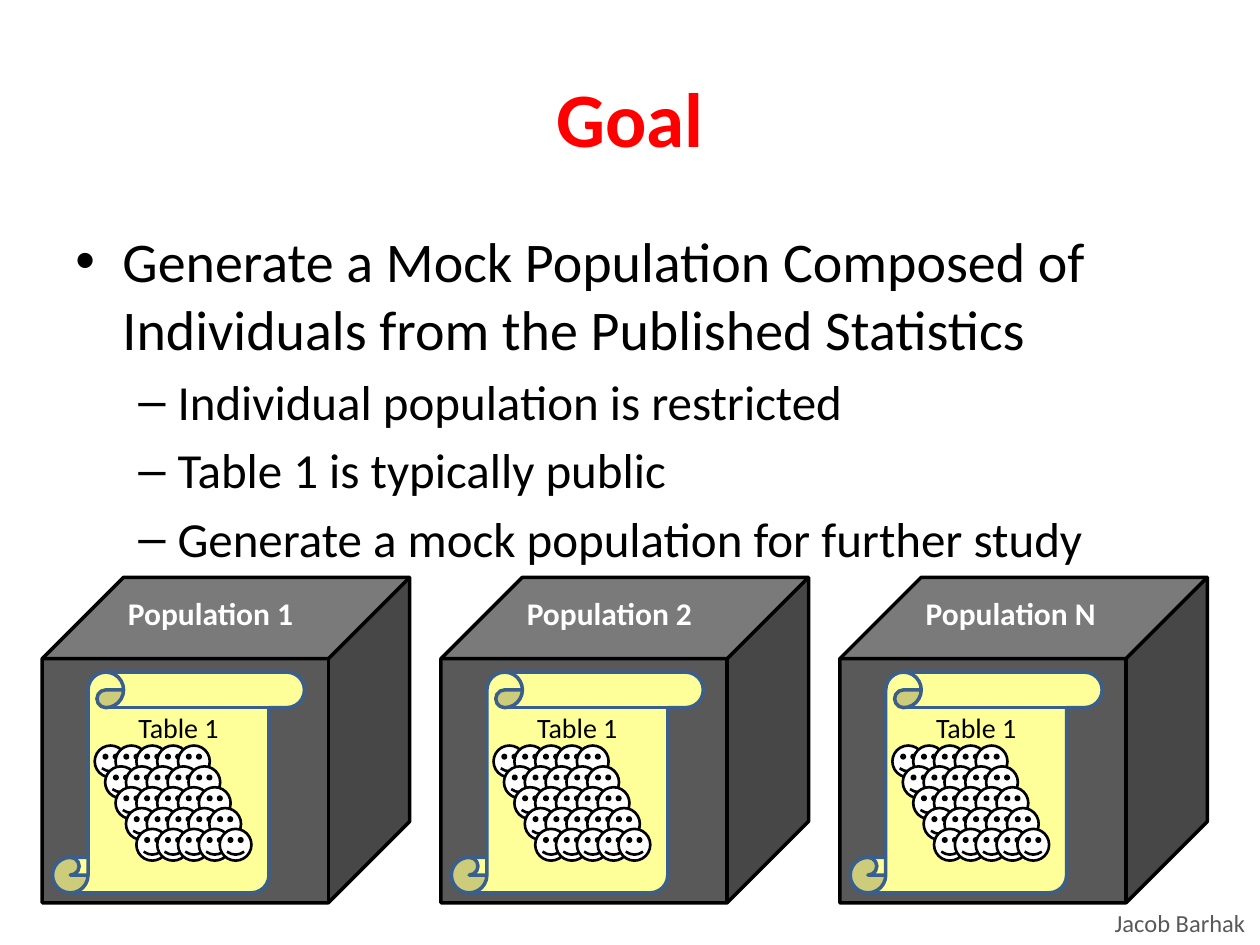
from lxml.etree import SubElement
from pptx import Presentation
from pptx.dml.color import RGBColor
from pptx.enum.shapes import MSO_SHAPE as Preset
from pptx.enum.text import MSO_ANCHOR as Anchor, PP_ALIGN as Align
from pptx.oxml.ns import qn
from pptx.util import Cm, Pt

COLORS = {
    "title": "FF0000",
    "text": "000000",
    "label": "FFFFFF",
    "author": "595959",
    "box": "595959",
    "outline": "000000",
    "scroll": "FFFF99",
    "scroll_edge": "3A5F8C",
    "face": "FFFFFF",
}
POPULATIONS = ["Population 1", "Population 2", "Population N"]
GOALS = [
    (0, "Generate a Mock Population Composed of Individuals from the Published Statistics"),
    (1, "Individual population is restricted"),
    (1, "Table 1 is typically public"),
    (1, "Generate a mock population for further study"),
]
LEVELS = [
    {"size": 32, "bullet": "•", "margin": 0.95, "hanging": 0.95},
    {"size": 28, "bullet": "–", "margin": 2.06, "hanging": 0.79},
]
BOX_LEFT, BOX_PITCH = 0.85, 8.04
CROWD_SIDE, FACE_SIZE, FACE_PITCH = 5, 0.64, 0.42


class PopulationSlide:
    font = "Calibri"

    def __init__(self, slide):
        self.shapes = slide.shapes

    def color(self, name):
        return RGBColor.from_string(COLORS[name])

    def format(self, paragraph, size, color, bold=False, align=Align.LEFT):
        paragraph.alignment = align
        for run in paragraph.runs:
            run.font.name = self.font
            run.font.size = Pt(size)
            run.font.bold = bold
            run.font.color.rgb = self.color(color)

    def text(self, box, words, size, color, bold=False, align=Align.LEFT,
             anchor=Anchor.TOP, wrap=True):
        frame = self.shapes.add_textbox(*map(Cm, box)).text_frame
        frame.word_wrap = wrap
        frame.vertical_anchor = anchor
        frame.text = words
        self.format(frame.paragraphs[0], size, color, bold, align)

    def bullets(self, box, items):
        frame = self.shapes.add_textbox(*map(Cm, box)).text_frame
        frame.word_wrap = True
        for index, (level, words) in enumerate(items):
            paragraph = frame.add_paragraph() if index else frame.paragraphs[0]
            style = LEVELS[level]
            paragraph.text = words
            paragraph.level = level
            paragraph.space_before = Pt(style["size"] * 0.2)
            self.format(paragraph, style["size"], "text")
            properties = paragraph._p.get_or_add_pPr()
            properties.set("marL", str(Cm(style["margin"])))
            properties.set("indent", str(-Cm(style["hanging"])))
            SubElement(properties, qn("a:buFont"), typeface="Arial")
            SubElement(properties, qn("a:buChar"), char=style["bullet"])

    def shape(self, preset, box, fill, line, width=2, parent=None):
        shape = (parent or self.shapes).add_shape(preset, *map(Cm, box))
        shape.shadow.inherit = False
        shape.fill.solid()
        shape.fill.fore_color.rgb = self.color(fill)
        shape.line.color.rgb = self.color(line)
        shape.line.width = Pt(width)
        return shape

    def scroll(self, box, words):
        scroll = self.shape(Preset.VERTICAL_SCROLL, box, "scroll", "scroll_edge")
        scroll.adjustments[0] = 0.161
        frame = scroll.text_frame
        frame.vertical_anchor = Anchor.TOP
        frame.margin_top = Cm(0.05)
        frame.text = words
        self.format(frame.paragraphs[0], 16, "text", align=Align.CENTER)

    def crowd(self, left, top):
        faces = self.shapes.add_group_shape().shapes
        for row in range(CROWD_SIDE):
            for column in range(CROWD_SIDE):
                x = left + (column + row / 2) * FACE_PITCH
                y = top + row * FACE_PITCH
                self.shape(Preset.SMILEY_FACE, (x, y, FACE_SIZE, FACE_SIZE),
                           "face", "outline", 1.5, faces)

    def population(self, left, name):
        self.shape(Preset.CUBE, (left, 11.64, 7.41, 6.56), "box", "outline")
        self.text((left + 1.48, 11.85, 4.02, 1.02), name, 18, "label", bold=True)
        self.scroll((left + 0.21, 13.55, 5.08, 4.45), "Table 1")
        self.crowd(left + 1.06, 15.03)


def main():
    deck = Presentation()
    deck.slide_width, deck.slide_height = Cm(25.4), Cm(19.05)
    page = PopulationSlide(deck.slides.add_slide(deck.slide_layouts[6]))
    page.text((22.22, 18.18, 3.18, 0.86), "Jacob Barhak", 14, "author", wrap=False)
    page.text((1.27, 0.76, 22.86, 3.18), "Goal", 44, "title", bold=True,
              align=Align.CENTER, anchor=Anchor.MIDDLE)
    page.bullets((1.27, 4.45, 22.86, 12.57), GOALS)
    for index, name in enumerate(POPULATIONS):
        page.population(BOX_LEFT + index * BOX_PITCH, name)
    deck.save("out.pptx")


if __name__ == "__main__":
    main()
